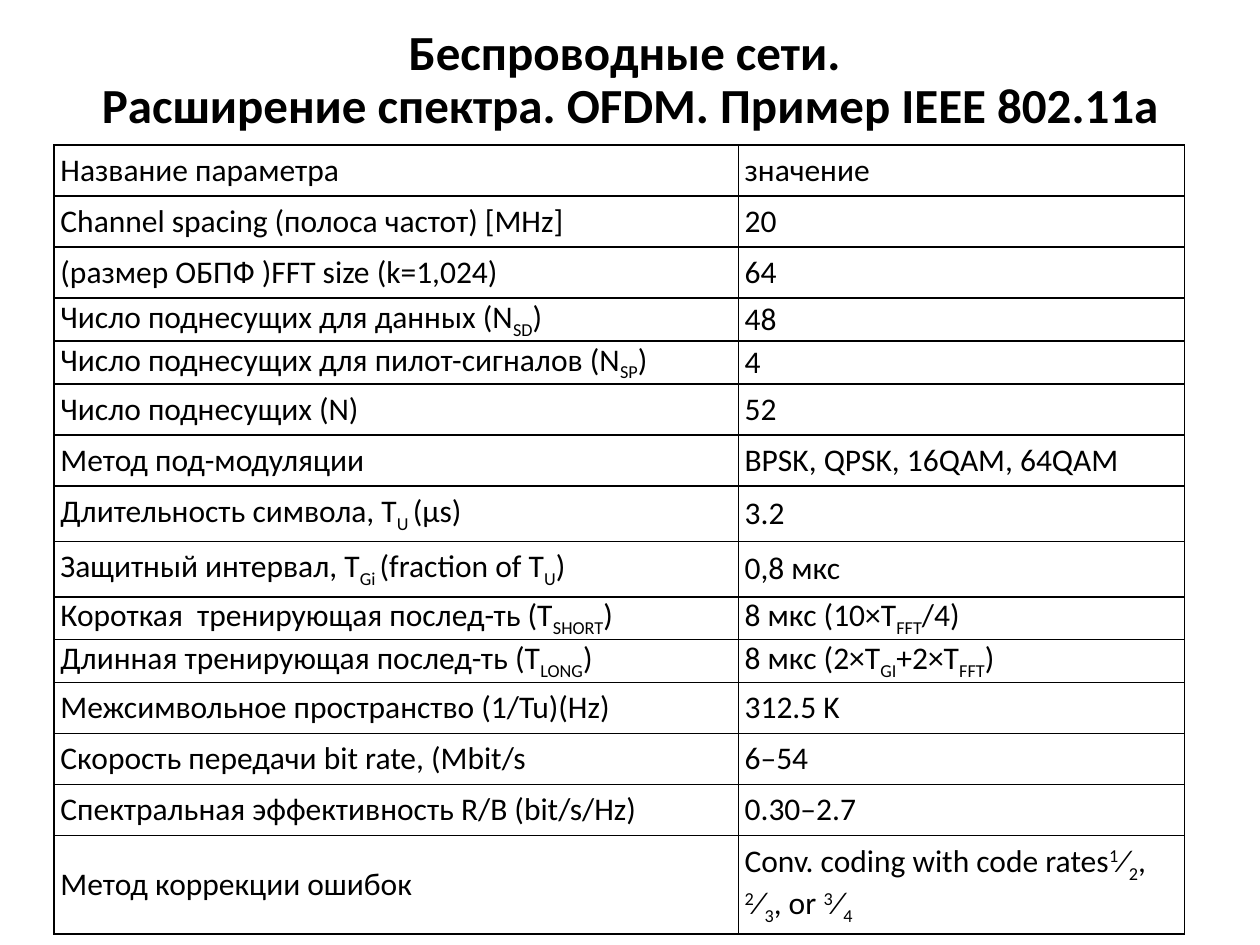
from lxml import etree
from pptx import Presentation
from pptx.dml.color import RGBColor
from pptx.enum.text import MSO_ANCHOR, PP_ALIGN
from pptx.oxml.ns import qn
from pptx.util import Inches, Pt

MIDDLE = MSO_ANCHOR.MIDDLE
CENTER = PP_ALIGN.CENTER
COLORS = {"text": "000000", "border": "000000", "cell": "FFFFFF"}
FONT = "Calibri"
BASELINES = {"_": "-25000", "^": "30000"}

# Row kinds: height in inches, vertical cell margin in inches, space before in points
ROW_KINDS = {
    "normal": (0.4, 0.05, 0),
    "tight": (0.34, 0, 6),
    "subscript": (0.44, 0.05, 0),
    "double": (0.78, 0.05, 0),
}
ROWS = [
    ("normal", "Название параметра", "значение"),
    ("normal", "Channel spacing (полоса частот) [MHz]", "20"),
    ("normal", "(размер ОБПФ )FFT size (k=1,024)", "64"),
    ("tight", "Число поднесущих для данных (N|_SD|)", "48"),
    ("tight", "Число поднесущих для пилот-сигналов (N|_SP|)", "4"),
    ("normal", "Число поднесущих (N)", "52"),
    ("normal", "Метод под-модуляции", "BPSK, QPSK, 16QAM, 64QAM"),
    ("subscript", "Длительность символа, T|_U |(μs)", "3.2"),
    ("subscript", "Защитный интервал, T|_Gi |(fraction of T|_U|)", "0,8 мкс"),
    ("tight", "Короткая  тренирующая послед-ть (T|_SHORT|)", "8 мкс (10×T|_FFT|/4)"),
    ("tight", "Длинная тренирующая послед-ть (T|_LONG|)", "8 мкс (2×T|_GI|+2×T|_FFT|)"),
    ("normal", "Межсимвольное пространство (1/Tu)(Hz)", "312.5 K"),
    ("normal", "Скорость передачи bit rate, (Mbit/s", "6–54"),
    ("normal", "Спектральная эффективность R/B (bit/s/Hz)", "0.30–2.7"),
    ("double", "Метод коррекции ошибок",
     "Conv. coding with code rates|^1|⁄|_2|, |^2|⁄|_3|, or |^3|⁄|_4"),
]
COLUMN_WIDTHS = [5.43, 3.54]


def write_text(paragraph, text, size=18, bold=False, space_before=0):
    """Write runs parted by "|"; a leading "_" lowers a run and "^" raises it."""
    paragraph.space_before = Pt(space_before)
    for part in text.split("|"):
        baseline = BASELINES.get(part[0])
        run = paragraph.add_run()
        run.text = part[1:] if baseline else part
        run.font.name = FONT
        run.font.size = Pt(size)
        run.font.bold = bold
        run.font.color.rgb = RGBColor.from_string(COLORS["text"])
        if baseline:
            run.font._element.set("baseline", baseline)


def add_borders(cell):
    properties = cell._tc.get_or_add_tcPr()
    for side in ("lnL", "lnR", "lnT", "lnB"):
        line = etree.SubElement(properties, qn(f"a:{side}"), w=str(Pt(1)))
        fill = etree.SubElement(line, qn("a:solidFill"))
        etree.SubElement(fill, qn("a:srgbClr"), val=COLORS["border"])


presentation = Presentation()
presentation.slide_width = Inches(10)
presentation.slide_height = Inches(7.5)
slide = presentation.slides.add_slide(presentation.slide_layouts[5])

title = slide.shapes.title
title.left, title.top = Inches(0.5), Inches(0.21)
title.width, title.height = Inches(9), Inches(0.87)
title.text_frame.vertical_anchor = MIDDLE
title.text_frame.word_wrap = True
heading = title.text_frame.paragraphs[0]
heading.alignment = CENTER
heading.line_spacing = 0.9
write_text(heading, "Беспроводные сети. ", size=28, bold=True)
heading.add_line_break()
write_text(heading, "Расширение спектра. OFDM. Пример IEEE 802.11a", size=28, bold=True)

table_height = sum(ROW_KINDS[kind][0] for kind, *_ in ROWS)
table = slide.shapes.add_table(
    len(ROWS), len(COLUMN_WIDTHS), Inches(0.43), Inches(1.15),
    Inches(sum(COLUMN_WIDTHS)), Inches(table_height)).table
table.first_row = False
table.horz_banding = False
for column, width in zip(table.columns, COLUMN_WIDTHS):
    column.width = Inches(width)

for row, (kind, *texts) in zip(table.rows, ROWS):
    height, margin, space_before = ROW_KINDS[kind]
    row.height = Inches(height)
    for cell, text in zip(row.cells, texts):
        add_borders(cell)
        cell.fill.solid()
        cell.fill.fore_color.rgb = RGBColor.from_string(COLORS["cell"])
        cell.vertical_anchor = MIDDLE
        cell.margin_left = cell.margin_right = Inches(0.05)
        cell.margin_top = cell.margin_bottom = Inches(margin)
        write_text(cell.text_frame.paragraphs[0], text, space_before=space_before)

presentation.save("out.pptx")
